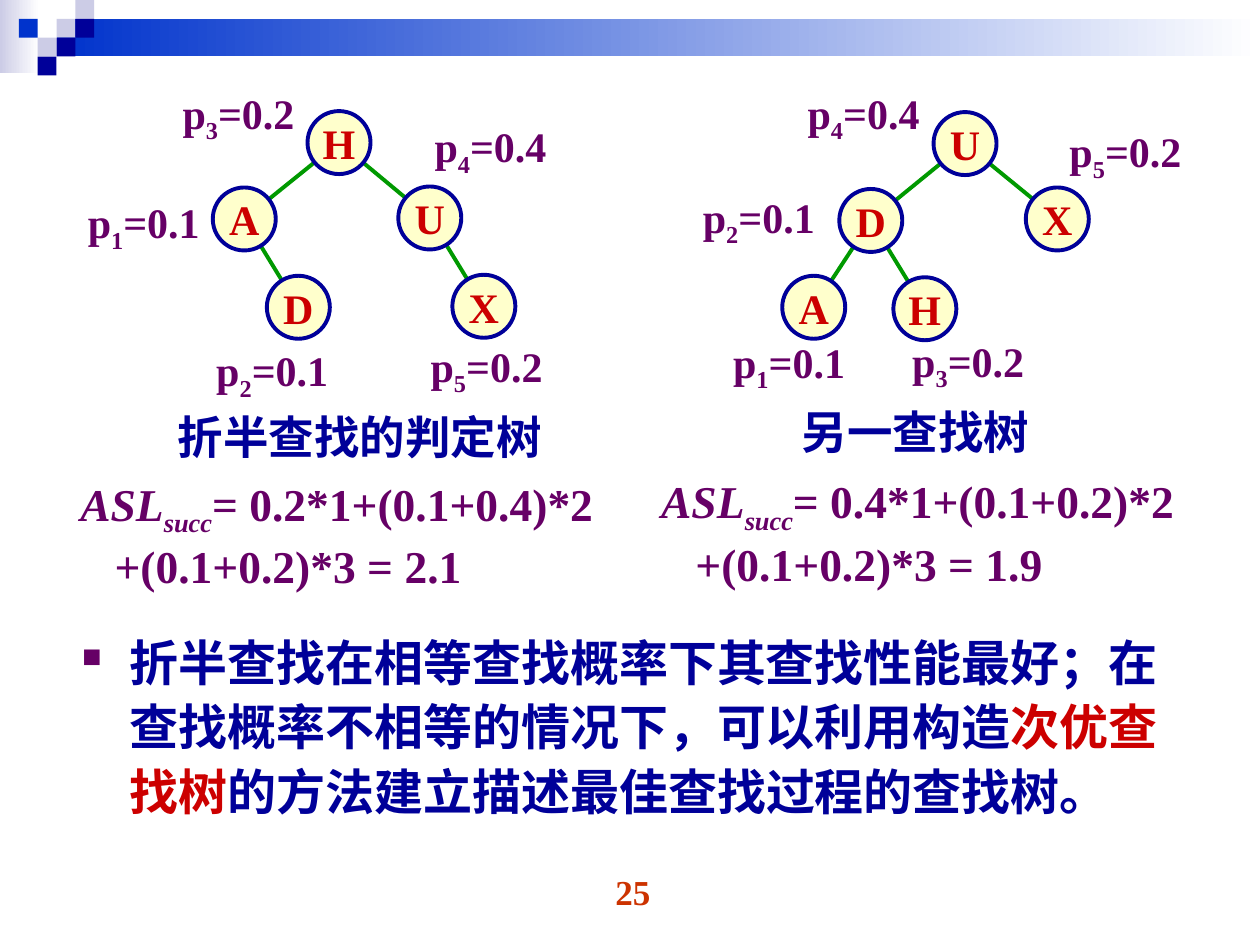
from dataclasses import dataclass
from math import hypot
from lxml.etree import SubElement
from pptx import Presentation
from pptx.dml.color import RGBColor
from pptx.enum.shapes import MSO_CONNECTOR, MSO_SHAPE
from pptx.enum.text import MSO_ANCHOR, PP_ALIGN
from pptx.oxml.ns import qn
from pptx.util import Cm, Pt

COLORS = {
    "navy": "000099", "blue": "0033CC", "lilac": "CCCCE6", "white": "FFFFFF",
    "cream": "FFFFCC", "green": "009900", "purple": "660066", "red": "CC0000",
    "orange": "CC3300",
}
SERIF = "Times New Roman"
CELL = 0.38
DIAMETER = 1.27
TRIM = 0.41


@dataclass(frozen=True)
class Span:
    text: str
    color: str
    size: float
    font: str = SERIF
    italic: bool = False
    sub: bool = False


@dataclass(frozen=True)
class Box:
    x: float
    y: float
    w: float
    h: float


@dataclass(frozen=True)
class Tree:
    nodes: dict[str, tuple[float, float]]
    edges: tuple[str, ...]
    labels: tuple[tuple[str, str, float, float], ...]
    title: str
    title_box: Box
    formula: tuple[str, str]
    formula_at: tuple[float, float]


TREES = (
    Tree({"H": (6.2, 2.24), "A": (4.29, 3.78), "U": (8.03, 3.76),
          "D": (5.38, 5.56), "X": (9.12, 5.54)},
         ("HA", "HU", "UX", "AD"),
         (("1", "0.1", 1.52, 3.84), ("2", "0.1", 4.11, 6.83),
          ("3", "0.2", 3.43, 1.63), ("4", "0.4", 8.51, 2.31),
          ("5", "0.2", 8.43, 6.73)),
         "折半查找的判定树", Box(3.33, 8.13, 7.85, 1.37),
         ("= 0.2*1+(0.1+0.4)*2", "+(0.1+0.2)*3 = 2.1"), (1.37, 9.47)),
    Tree({"U": (18.82, 2.26), "D": (16.92, 3.81), "A": (15.77, 5.56),
          "X": (20.68, 3.78), "H": (18.01, 5.59)},
         ("UD", "UX", "DA", "DH"),
         (("1", "0.1", 14.53, 6.65), ("2", "0.1", 13.92, 3.73),
          ("3", "0.2", 18.14, 6.63), ("4", "0.4", 16.03, 1.63),
          ("5", "0.2", 21.31, 2.41)),
         "另一查找树", Box(15.9, 8.03, 5.11, 1.37),
         ("= 0.4*1+(0.1+0.2)*2", "+(0.1+0.2)*3 = 1.9"), (13.08, 9.42)),
)
BANDS = (
    (Box(0, 0, 0.79, 1.47), "lilac"),
    (Box(1.14, 0.38, 24.26, 0.76), "blue"),
)
SQUARES = (
    (3, 1, "lilac"), (4, 0, "lilac"), (4, 1, "navy"), (2, 2, "lilac"),
    (1, 1, "blue"), (3, 2, "navy"), (2, 3, "navy"),
)


def rgb(name: str) -> RGBColor:
    """Look up a colour by name."""
    return RGBColor.from_string(COLORS[name])


def add_shape(s, kind, box: Box):
    """Add a preset shape without shadow or outline."""
    sp = s.shapes.add_shape(kind, Cm(box.x), Cm(box.y), Cm(box.w), Cm(box.h))
    sp.shadow.inherit = False
    sp.line.fill.background()
    return sp


def add_band(s, box: Box, color: str) -> None:
    """Add a rectangle that fades to white on the right."""
    fill = add_shape(s, MSO_SHAPE.RECTANGLE, box).fill
    fill.gradient()
    fill.gradient_angle = 0
    for stop, name in zip(fill.gradient_stops, (color, "white")):
        stop.color.rgb = rgb(name)


def add_square(s, col: int, row: int, color: str) -> None:
    """Add one square of the corner mosaic."""
    sp = add_shape(s, MSO_SHAPE.RECTANGLE, Box(col * CELL, row * CELL, CELL, CELL))
    sp.fill.solid()
    sp.fill.fore_color.rgb = rgb(color)


def write(p, *spans: Span) -> None:
    """Write formatted bold spans into a paragraph."""
    for span in spans:
        r = p.add_run()
        r.text = span.text
        r.font.name = span.font
        r.font.size = Pt(span.size)
        r.font.bold = True
        r.font.italic = span.italic
        r.font.color.rgb = rgb(span.color)
        if span.sub:
            r.font._element.set("baseline", "-25000")


def add_text(s, box: Box, *spans: Span, align=PP_ALIGN.LEFT, wrap: bool = False):
    """Add a text box and return its text frame."""
    tf = s.shapes.add_textbox(Cm(box.x), Cm(box.y), Cm(box.w), Cm(box.h)).text_frame
    tf.word_wrap = wrap
    tf.paragraphs[0].alignment = align
    write(tf.paragraphs[0], *spans)
    return tf


def add_edge(s, start: tuple[float, float], end: tuple[float, float]) -> None:
    """Join two nodes along the line between their centres."""
    dx, dy = end[0] - start[0], end[1] - start[1]
    k = TRIM / hypot(dx, dy)
    r = DIAMETER / 2
    line = s.shapes.add_connector(
        MSO_CONNECTOR.STRAIGHT,
        Cm(start[0] + r + k * dx), Cm(start[1] + r + k * dy),
        Cm(end[0] + r - k * dx), Cm(end[1] + r - k * dy))
    line.line.color.rgb = rgb("green")
    line.line.width = Pt(2.25)
    SubElement(line._element.spPr, qn("a:effectLst"))


def add_node(s, key: str, x: float, y: float) -> None:
    """Add a circle holding its key."""
    sp = add_shape(s, MSO_SHAPE.OVAL, Box(x, y, DIAMETER, DIAMETER))
    sp.fill.solid()
    sp.fill.fore_color.rgb = rgb("cream")
    sp.line.color.rgb = rgb("navy")
    sp.line.width = Pt(2.25)
    tf = sp.text_frame
    tf.word_wrap = False
    tf.vertical_anchor = MSO_ANCHOR.MIDDLE
    tf.margin_left = tf.margin_right = tf.margin_top = tf.margin_bottom = 0
    tf.paragraphs[0].alignment = PP_ALIGN.CENTER
    write(tf.paragraphs[0], Span(key, "red", 24))


def add_tree(s, tree: Tree) -> None:
    """Draw a search tree with its probabilities, title and formula."""
    for a, b in tree.edges:
        add_edge(s, tree.nodes[a], tree.nodes[b])
    for key, (x, y) in tree.nodes.items():
        add_node(s, key, x, y)
    for index, value, x, y in tree.labels:
        add_text(s, Box(x, y, 2.77, 1.42), Span("p", "purple", 24),
                 Span(index, "purple", 24, sub=True), Span(f"={value}", "purple", 24))
    first, second = tree.formula
    tf = add_text(s, Box(*tree.formula_at, 10.85, 2.62),
                  Span("ASL", "purple", 26, italic=True),
                  Span("succ", "purple", 26, italic=True, sub=True),
                  Span(first, "purple", 26))
    p = tf.add_paragraph()
    p._p.get_or_add_pPr().set("marL", str(Cm(0.69)))
    write(p, Span(second, "purple", 26))
    add_text(s, tree.title_box, Span(tree.title, "navy", 26, "Arial"),
             align=PP_ALIGN.CENTER)


def add_conclusion(s) -> None:
    """Add the bulleted conclusion."""
    tf = add_text(s, Box(1.4, 12.5, 22.91, 5.11), wrap=True)
    p = tf.paragraphs[0]
    pPr = p._p.get_or_add_pPr()
    pPr.set("marL", str(Cm(0.97)))
    pPr.set("indent", str(Cm(-0.97)))
    SubElement(SubElement(pPr, qn("a:buClr")), qn("a:srgbClr"), val=COLORS["purple"])
    SubElement(pPr, qn("a:buSzPct"), val="55000")
    SubElement(pPr, qn("a:buChar"), char="■")
    p.line_spacing = 1.1
    write(p, Span("折半查找在相等查找概率下其查找性能最好；在查找概率不相等的情况下，可以利用构造", "navy", 28),
          Span("次优查找树", "red", 28),
          Span("的方法建立描述最佳查找过程的查找树。", "navy", 28))


def main() -> None:
    """Build the slide and save it."""
    prs = Presentation()
    prs.slide_width, prs.slide_height = Cm(25.4), Cm(19.05)
    s = prs.slides.add_slide(prs.slide_layouts[6])
    for box, color in BANDS:
        add_band(s, box, color)
    for square in SQUARES:
        add_square(s, *square)
    add_text(s, Box(9.8, 17.42, 5.92, 1.32), Span("25", "orange", 20),
             align=PP_ALIGN.CENTER, wrap=True)
    add_conclusion(s)
    for tree in TREES:
        add_tree(s, tree)
    prs.save("out.pptx")


if __name__ == "__main__":
    main()
